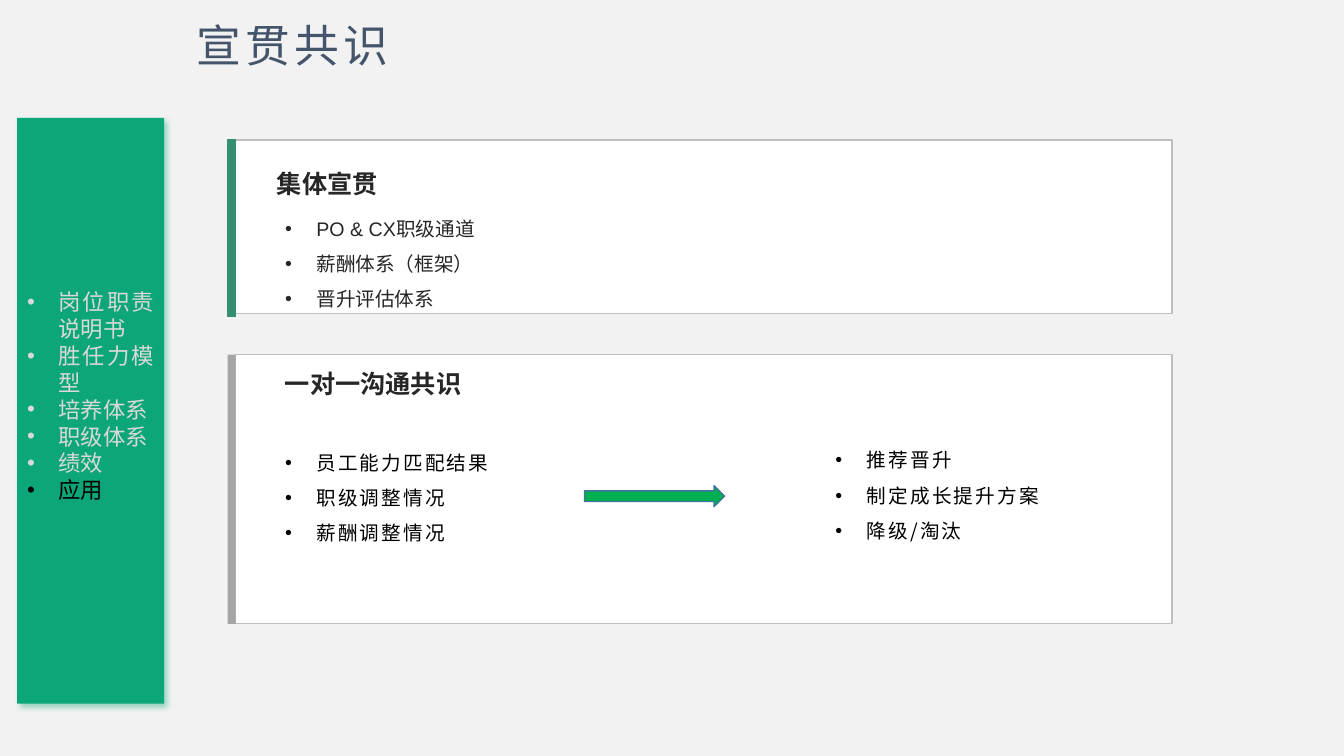
from lxml import etree
from pptx import Presentation
from pptx import util as u
from pptx.dml.color import RGBColor
from pptx.enum import shapes, text
from pptx.oxml.ns import qn

COLORS = {
    "page": "F2F2F2", "title": "44546A", "card": "FFFFFF", "edge": "BFBFBF",
    "ink": "262626", "black": "000000", "muted": "D9D9D9", "sidebar": "0CA678",
    "green_bar": "368E71", "grey_bar": "A5A5A5", "arrow": "00B050", "arrow_edge": "43739E",
}
CJK = "Noto Sans CJK SC"


class Board:
    """Holds the style and the current slide, and adds each kind of element."""

    def __init__(self, deck):
        self.slide = deck.slides.add_slide(deck.slide_layouts[4])
        self.tree = self.slide.shapes
        self.bodies = iter([p for p in self.slide.placeholders if p.placeholder_format.idx])
        page = self.slide.background.fill
        page.solid()
        page.fore_color.rgb = self.color("page")

    def color(self, key):
        return RGBColor.from_string(COLORS[key])

    def block(self, box, fill, line=None, kind=shapes.MSO_SHAPE.RECTANGLE):
        block = self.tree.add_shape(kind, *map(u.Cm, box))
        block.shadow.inherit = False
        block.fill.solid()
        block.fill.fore_color.rgb = self.color(fill)
        if line:
            block.line.color.rgb = self.color(line)
            block.line.width = u.Pt(1)
        else:
            block.line.fill.background()
        return block

    def glow(self, block, key):
        effects = block.element.spPr.find(qn("a:effectLst"))
        shadow = etree.SubElement(effects, qn("a:outerShdw"), blurRad="50800",
                                  dist="38100", dir="2700000", algn="tl", rotWithShape="0")
        tint = etree.SubElement(shadow, qn("a:srgbClr"), val=COLORS[key])
        etree.SubElement(tint, qn("a:alpha"), val="40000")

    def place(self, holder, box, anchor):
        holder.left, holder.top, holder.width, holder.height = map(u.Cm, box)
        self.tree.element.append(holder.element)
        frame = holder.text_frame
        frame.word_wrap = True
        frame.auto_size = text.MSO_AUTO_SIZE.NONE
        frame.vertical_anchor = anchor
        return frame

    def add_words(self, paragraph, words, size, color, font=CJK, spacing=0, bold=False):
        run = paragraph.add_run()
        run.text = words
        run.font.size = u.Pt(size)
        run.font.name = font
        run.font.bold = bold
        run.font.color.rgb = self.color(color)
        properties = run._r.get_or_add_rPr()
        properties.set("spc", str(int(spacing * 100)))
        east_asian = etree.SubElement(properties, qn("a:ea"), typeface=CJK)
        properties.find(qn("a:latin")).addnext(east_asian)

    def title(self, words, box):
        frame = self.place(self.tree.title, box, text.MSO_ANCHOR.TOP)
        heading = frame.paragraphs[0]
        heading.alignment = text.PP_ALIGN.CENTER
        self.add_words(heading, words, 32, "title", spacing=3)

    def heading(self, words, box):
        holder = self.tree.add_textbox(*map(u.Cm, box))
        frame = self.place(holder, box, text.MSO_ANCHOR.MIDDLE)
        self.add_words(frame.paragraphs[0], words, 18, "ink", "Arial", bold=True)

    def bullets(self, items, box, anchor, color, size=14, leading=1.5,
                align=text.PP_ALIGN.LEFT, current=None, **style):
        frame = self.place(next(self.bodies), box, anchor)
        for index, item in enumerate(items):
            entry = frame.add_paragraph() if index else frame.paragraphs[0]
            layout = entry._p.get_or_add_pPr()
            layout.set("marL", str(u.Cm(0.79)))
            layout.set("indent", str(u.Cm(-0.79)))
            etree.SubElement(layout, qn("a:buFont"), typeface="Arial")
            etree.SubElement(layout, qn("a:buChar"), char="•")
            entry.alignment = align
            entry.line_spacing = leading
            entry.space_before = u.Pt(0)
            tone = "black" if item == current else color
            self.add_words(entry, item, size, tone, **style)


def main():
    deck = Presentation()
    deck.slide_width, deck.slide_height = u.Cm(33.87), u.Cm(19.05)
    board = Board(deck)
    top, middle = text.MSO_ANCHOR.TOP, text.MSO_ANCHOR.MIDDLE

    board.title("宣贯共识", (1.78, 0.33, 11.2, 1.63))

    board.block((5.94, 3.53, 23.6, 4.37), "card", "edge")
    board.block((5.74, 3.53, 0.2, 4.45), "green_bar", "green_bar")
    board.heading("集体宣贯", (6.73, 3.94, 21.97, 1.37))
    board.bullets(["PO & CX职级通道", "薪酬体系（框架）", "晋升评估体系"],
                  (6.93, 5.33, 21.97, 2.34), middle, "ink", font="Arial")

    board.block((5.94, 8.94, 23.6, 6.78), "card", "edge")
    board.block((5.74, 8.94, 0.2, 6.78), "grey_bar")
    board.heading("一对一沟通共识", (6.93, 9.14, 21.97, 1.02))
    board.bullets(["员工能力匹配结果", "职级调整情况", "薪酬调整情况"],
                  (6.93, 10.34, 6.81, 4.1), middle, "black", spacing=1.5)
    board.block((14.73, 12.24, 3.53, 0.53), "arrow", "arrow_edge",
                shapes.MSO_SHAPE.RIGHT_ARROW)
    board.bullets(["推荐晋升", "制定成长提升方案", "降级/淘汰"],
                  (20.8, 10.87, 6.4, 2.95), top, "black", spacing=1.5)

    sidebar = board.block((0.43, 2.97, 3.71, 14.76), "sidebar")
    board.glow(sidebar, "sidebar")
    board.bullets(["岗位职责说明书", "胜任力模型", "培养体系", "职级体系", "绩效", "应用"],
                  (0.43, 7.14, 3.71, 5.74), top, "muted", size=16, leading=1.0,
                  align=text.PP_ALIGN.JUSTIFY, current="应用")

    deck.save("out.pptx")


if __name__ == "__main__":
    main()
